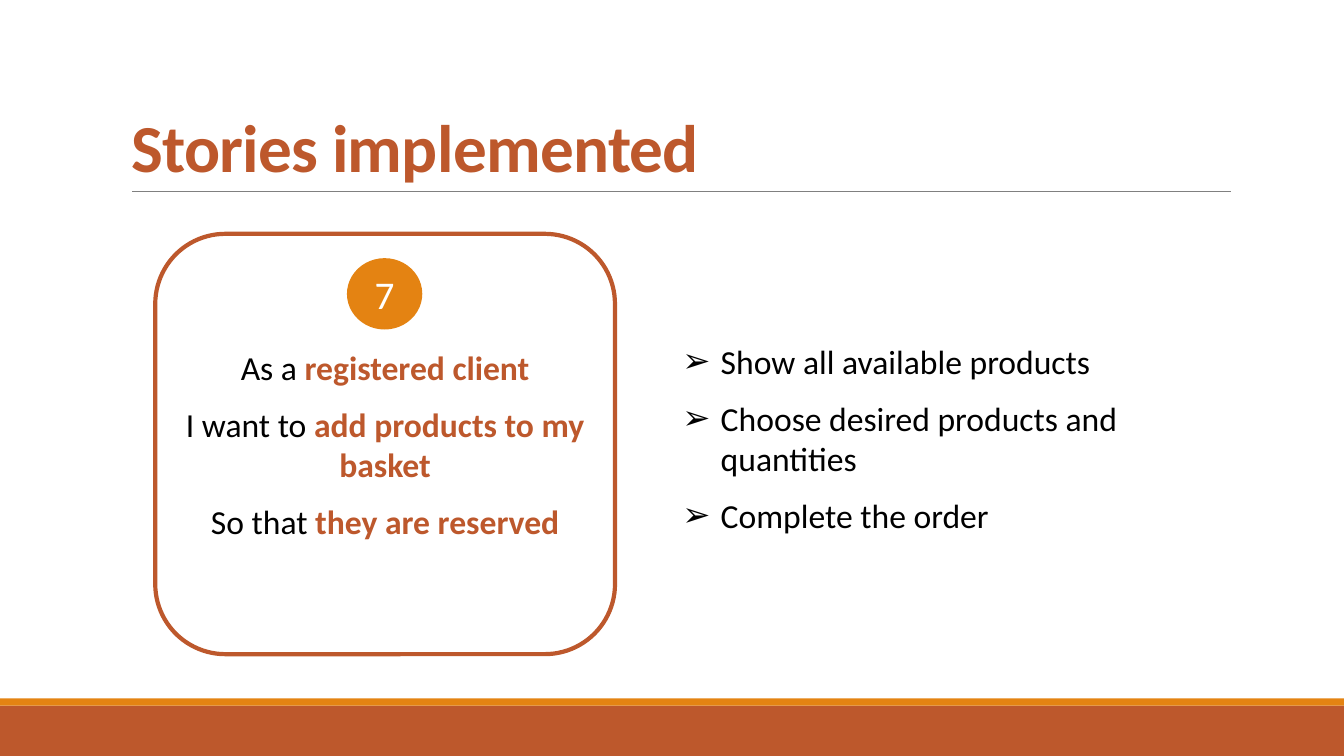
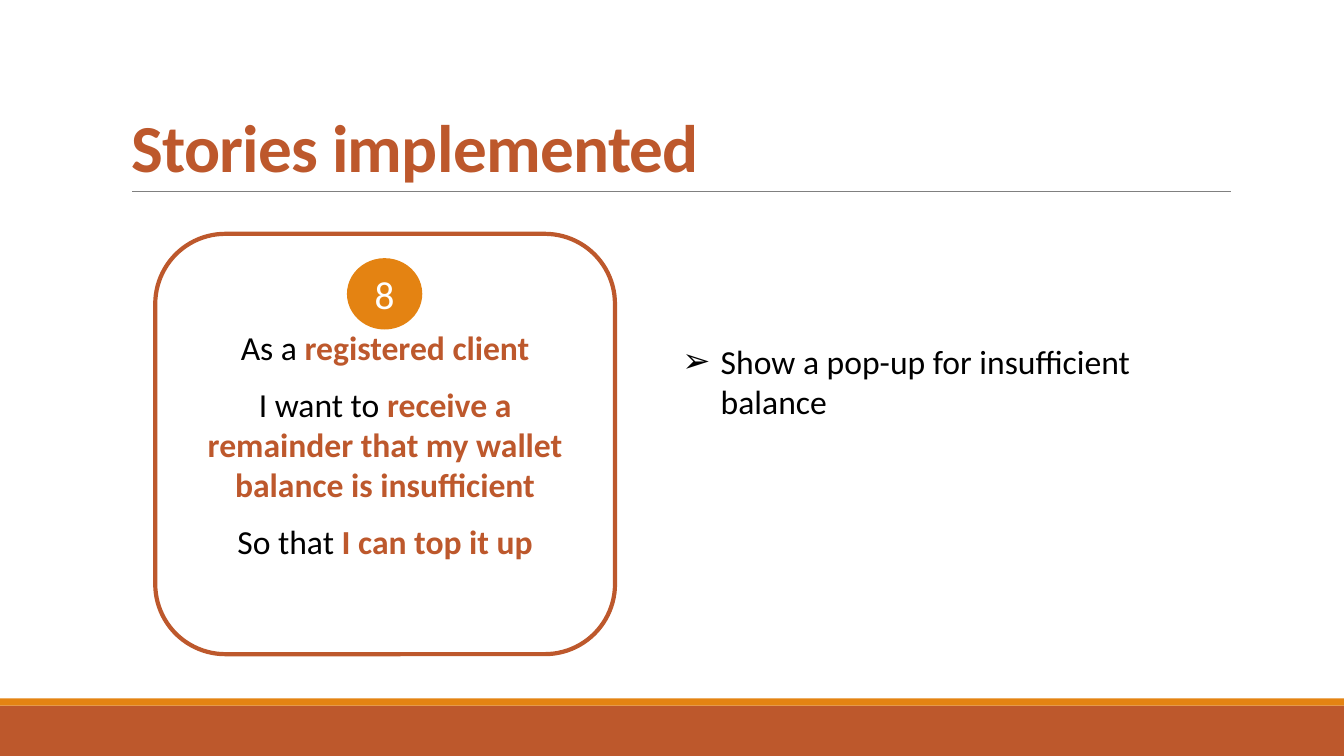
from lxml.etree import SubElement
from pptx import Presentation
from pptx.dml.color import RGBColor
from pptx.enum.shapes import MSO_CONNECTOR as CONN, MSO_SHAPE as SHAPE
from pptx.enum.text import MSO_ANCHOR as ANCHOR, MSO_AUTO_SIZE as AUTO, PP_ALIGN as ALIGN
from pptx.oxml.ns import qn
from pptx.util import Inches, Pt


def rgb(value):
    return RGBColor.from_string(value)


class Deck:
    """Holds the shared style and the slide being built."""

    FONT = "Calibri"
    RUST, ORANGE, GREY = "BD582C", "E48312", "808080"
    BLACK, WHITE = "000000", "FFFFFF"
    WIDTH, HEIGHT = 13.33, 7.5

    def __init__(self):
        self.prs = Presentation()
        self.prs.slide_width = Inches(self.WIDTH)
        self.prs.slide_height = Inches(self.HEIGHT)
        self.s = None

    def new_slide(self, title):
        self.s = self.prs.slides.add_slide(self.prs.slide_layouts[5])
        # Footer bands and title rule
        self.shape(SHAPE.RECTANGLE, (0, 7, self.WIDTH, 0.5), self.RUST)
        self.shape(SHAPE.RECTANGLE, (0, 6.93, self.WIDTH, 0.07), self.ORANGE)
        self.rule(1.31, 12.21, 1.9)
        self.title(title)

    def font(self, r, size, color, bold=False):
        f = r.font
        f.name, f.size, f.bold = self.FONT, Pt(size), bold
        f.color.rgb = rgb(color)

    def title(self, text):
        sp = self.s.shapes.title
        sp.left, sp.top, sp.width, sp.height = map(Inches, (1.2, 0.31, 11, 1.59))
        tf = sp.text_frame
        tf.text = text
        tf.auto_size = AUTO.NONE
        tf.vertical_anchor = ANCHOR.BOTTOM
        p = tf.paragraphs[0]
        p.alignment, p.line_spacing = ALIGN.LEFT, 0.85
        r = p.runs[0]
        self.font(r, 48, self.RUST, True)
        r.font._element.set("spc", "-50")

    def shape(self, kind, box, fill, line=None, line_width=1):
        sp = self.s.shapes.add_shape(kind, *map(Inches, box))
        sp.shadow.inherit = False
        sp.fill.solid()
        sp.fill.fore_color.rgb = rgb(fill)
        if line:
            sp.line.color.rgb = rgb(line)
            sp.line.width = Pt(line_width)
        else:
            sp.line.fill.background()
        sp.text_frame.vertical_anchor = ANCHOR.MIDDLE
        return sp

    def rule(self, x1, x2, y):
        line = self.s.shapes.add_connector(CONN.STRAIGHT, *map(Inches, (x1, y, x2, y)))
        line.line.color.rgb = rgb(self.GREY)
        line.line.width = Pt(0.5)
        SubElement(line._element.spPr, qn("a:effectLst"))

    def story_card(self, clauses):
        sp = self.shape(SHAPE.ROUNDED_RECTANGLE, (1.54, 2.32, 4.56, 4.17),
                        self.WHITE, self.RUST, 3)
        tf = sp.text_frame
        for i, (lead, goal) in enumerate(clauses):
            p = tf.add_paragraph() if i else tf.paragraphs[0]
            p.alignment, p.space_after = ALIGN.CENTER, Pt(12)
            for text, color, bold in ((lead, self.BLACK, False), (goal, self.RUST, True)):
                r = p.add_run()
                r.text = text
                self.font(r, 24, color, bold)

    def badge(self, number):
        sp = self.shape(SHAPE.OVAL, (3.45, 2.57, 0.73, 0.69), self.ORANGE, self.ORANGE, 1.25)
        tf = sp.text_frame
        tf.text = str(number)
        p = tf.paragraphs[0]
        p.alignment = ALIGN.CENTER
        self.font(p.runs[0], 28, self.WHITE)

    def bullets(self, items, height):
        sp = self.s.shapes.add_textbox(*map(Inches, (6.67, 3.33, 5.48, height)))
        tf = sp.text_frame
        tf.word_wrap = True
        tf.auto_size = AUTO.SHAPE_TO_FIT_TEXT
        for i, item in enumerate(items):
            p = tf.add_paragraph() if i else tf.paragraphs[0]
            p.text = item
            p.space_after = Pt(12)
            self.font(p.runs[0], 24, self.BLACK)
            # Arrow bullet with a hanging indent
            pPr = p._p.get_or_add_pPr()
            pPr.set("marL", str(Inches(0.38)))
            pPr.set("indent", str(-Inches(0.38)))
            SubElement(pPr, qn("a:buFont"), typeface="Arial")
            SubElement(pPr, qn("a:buChar"), char="➢")


# Number, role, wish, reason, tasks, height of the task list
STORIES = [
    (7, "registered client", "add products to my basket", "they are reserved",
     ["Show all available products", "Choose desired products and quantities",
      "Complete the order"], 2.05),
    (8, "registered client", "receive a remainder that my wallet balance is insufficient",
     "I can top it up", ["Show a pop-up for insufficient balance"], 0.91),
]


def main():
    deck = Deck()
    for number, role, wish, reason, tasks, height in STORIES:
        deck.new_slide("Stories implemented")
        deck.bullets(tasks, height)
        deck.story_card([("As a ", role), ("I want to ", wish), ("So that ", reason)])
        deck.badge(number)
    deck.prs.save("out.pptx")


if __name__ == "__main__":
    main()
